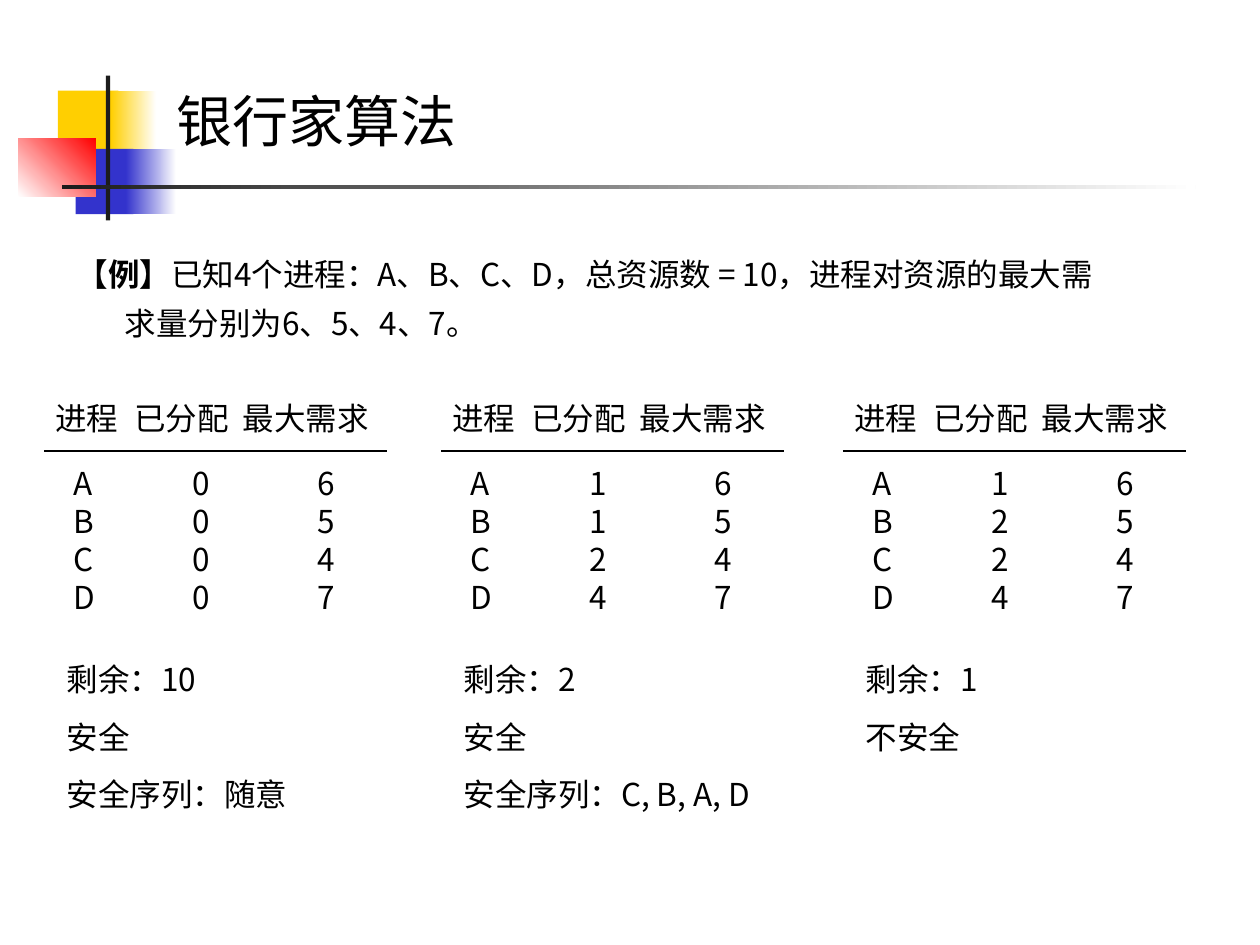
from lxml import etree
from pptx import Presentation, util as u
from pptx.dml.color import RGBColor
from pptx.enum import shapes, text
from pptx.oxml import ns


def rgb(value):
    return RGBColor.from_string(value)


class Deck:
    """Holds the style and the current slide, and adds each kind of element."""

    font = "Noto Sans CJK SC"
    title_font = "Noto Sans CJK JP"
    ink = "000000"
    size = 18
    leading = 1.2

    def __init__(self):
        self.prs = Presentation()
        self.prs.slide_width, self.prs.slide_height = u.Pt(720), u.Pt(540)
        self.s = self.prs.slides.add_slide(self.prs.slide_layouts[6])

    def format(self, p, size=None, font=None, spacing=1):
        size, font = size or self.size, font or self.font
        p.alignment = text.PP_ALIGN.LEFT
        p.line_spacing = u.Pt(size * self.leading * spacing)
        for r in p.runs:
            r.font.size, r.font.name, r.font.bold = u.Pt(size), font, False
            r.font.color.rgb = rgb(self.ink)
            ea = etree.SubElement(r._r.get_or_add_rPr(), ns.qn("a:ea"))
            ea.set("typeface", font)

    def block(self, x, y, w, h, start, end=None, angle=0):
        sp = self.s.shapes.add_shape(
            shapes.MSO_SHAPE.RECTANGLE, u.Pt(x), u.Pt(y), u.Pt(w), u.Pt(h))
        sp.shadow.inherit = False
        sp.line.fill.background()
        if end is None:
            sp.fill.solid()
            sp.fill.fore_color.rgb = rgb(start)
            return
        sp.fill.gradient()
        sp.fill.gradient_angle = angle
        for position, (stop, color) in enumerate(zip(sp.fill.gradient_stops, (start, end))):
            stop.position, stop.color.rgb = position, rgb(color)

    def text(self, x, y, w, h, lines, size=None, font=None, spacing=1, gap=0):
        sp = self.s.shapes.add_textbox(u.Pt(x), u.Pt(y), u.Pt(w), u.Pt(h))
        tf = sp.text_frame
        tf.word_wrap = True
        tf.margin_top = u.Pt(3.6 + 0.085 * (size or self.size))
        tf.text = "\n".join(lines)
        for i, p in enumerate(tf.paragraphs):
            p.space_before = u.Pt(gap if i else 0)
            self.format(p, size, font, spacing)
        return tf

    def example(self, x, y, w, h, label, body):
        p = self.text(x, y, w, h, [label], spacing=1.3).paragraphs[0]
        p.add_run().text = body
        self.format(p, spacing=1.3)
        p.runs[0].font.bold = True
        pPr = p._p.get_or_add_pPr()
        pPr.set("marL", str(u.Pt(27.4)))
        pPr.set("indent", str(-u.Pt(27.4)))

    def line(self, x1, y1, x2, y2):
        c = self.s.shapes.add_connector(
            shapes.MSO_CONNECTOR.STRAIGHT, u.Pt(x1), u.Pt(y1), u.Pt(x2), u.Pt(y2))
        c.line.width = u.Pt(1.5)
        c.line.color.rgb = rgb(self.ink)
        etree.SubElement(c._element.spPr, ns.qn("a:effectLst"))

    def table(self, x, y, widths, rows, indents, header_height=42, row_height=21.7):
        height = header_height + row_height * (len(rows) - 1)
        t = self.s.shapes.add_table(
            len(rows), len(widths), u.Pt(x), u.Pt(y), u.Pt(sum(widths)), u.Pt(height)).table
        t.first_row = t.horz_banding = False
        for column, width in zip(t.columns, widths):
            column.width = u.Pt(width)
        for i, row in enumerate(rows):
            t.rows[i].height = u.Pt(row_height if i else header_height)
            for j, value in enumerate(row):
                cell = t.cell(i, j)
                cell.fill.background()
                cell.margin_left = u.Pt(indents[j] if i else 6.5)
                cell.margin_top = u.Pt(0 if i else 5.1)
                cell.margin_right = cell.margin_bottom = 0
                cell.text_frame.text = str(value)
                self.format(cell.text_frame.paragraphs[0])


def main():
    d = Deck()
    d.block(33.1, 51.8, 34.6, 37.4, "FFCF01")
    d.block(63.4, 51.8, 25.9, 37.4, "FFCF01", "FFFFFF")
    d.block(43.2, 85, 33.1, 37.4, "3333CC")
    d.block(72, 85, 28.8, 37.4, "3333CC", "FFFFFF")
    d.block(10.5, 79, 44.2, 33.4, "FFFFFF", "FF0000", 45)
    d.block(60.5, 43.2, 2.5, 82.8, "1C1C1C")
    d.block(35.3, 105.8, 648, 2.2, "1C1C1C", "FFFFFF")
    d.text(93.6, 43.2, 626.4, 46.1, ["银行家算法"], 32, d.title_font)
    d.example(36.7, 133.9, 609.8, 68.4, "【例】",
              "已知4个进程：A、B、C、D，总资源数 = 10，进程对资源的最大需求量分别为6、5、4、7。")

    header = ("进程", "已分配", "最大需求")
    processes, demands = "ABCD", (6, 5, 4, 7)
    states = [
        (25.2, (0, 0, 0, 0), ["剩余：10", "安全", "安全序列：随意"]),
        (252, (1, 1, 2, 4), ["剩余：2", "安全", "安全序列：C, B, A, D"]),
        (481.7, (1, 2, 2, 4), ["剩余：1", "不安全"]),
    ]
    for x, allocated, verdict in states:
        rows = [header, *zip(processes, allocated, demands)]
        d.table(x, 224.6, (45, 62, 89), rows, (17, 40, 49.5))
        d.line(x, 257.8, x + 195.8, 257.8)
        d.text(x + 5.8, 372.2, 220, 95, verdict, gap=11.2)

    d.prs.save("out.pptx")


if __name__ == "__main__":
    main()
